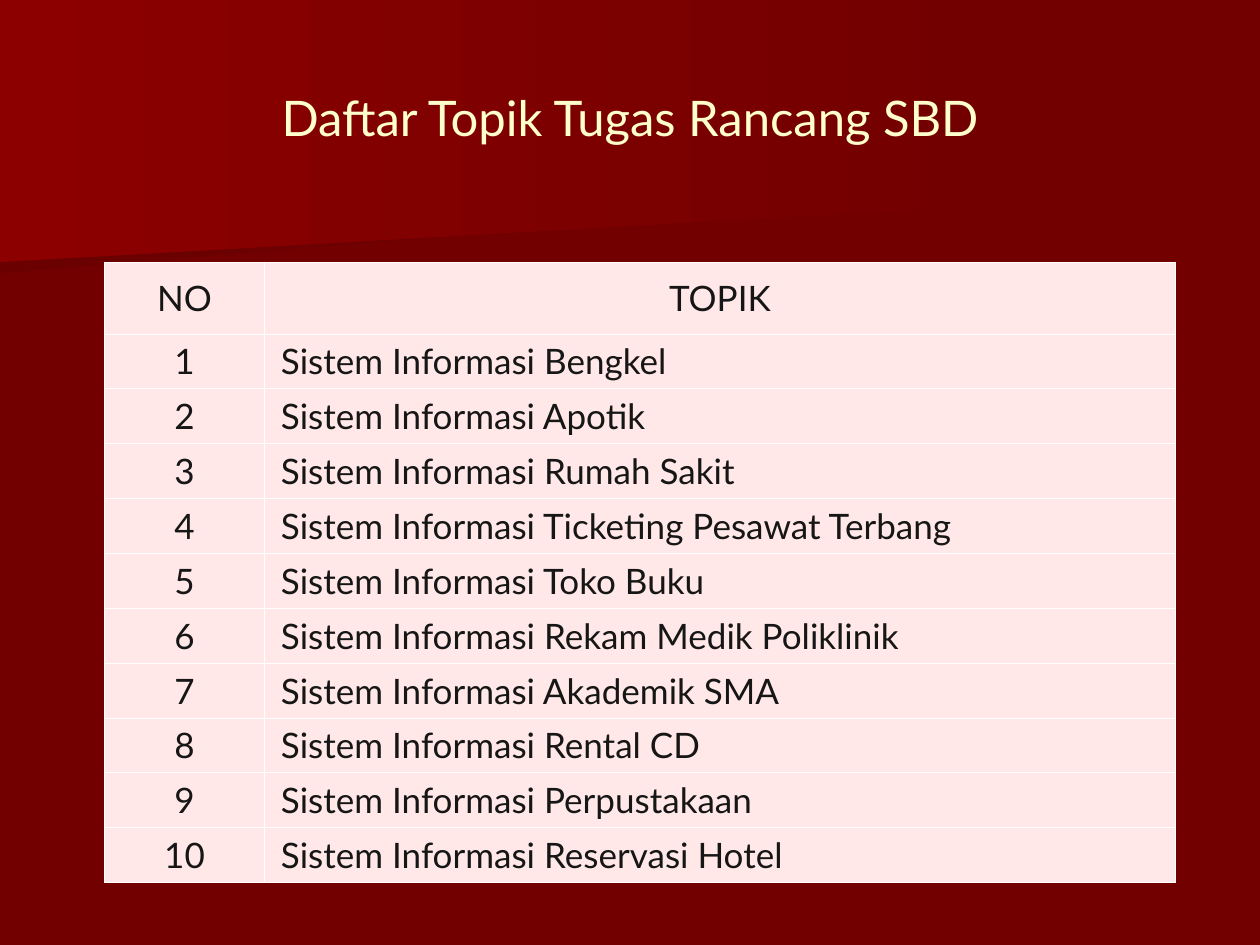
import dataclasses

import lxml.etree
import pptx
import pptx.dml.color
import pptx.enum.text
import pptx.oxml.ns
import pptx.util

Inches = pptx.util.Inches
Pt = pptx.util.Pt
Align = pptx.enum.text.PP_ALIGN
MIDDLE = pptx.enum.text.MSO_ANCHOR.MIDDLE

FONT = "Lato"
DARK_RED = "720000"
TOPICS = [
    "Bengkel",
    "Apotik",
    "Rumah Sakit",
    "Ticketing Pesawat Terbang",
    "Toko Buku",
    "Rekam Medik Poliklinik",
    "Akademik SMA",
    "Rental CD",
    "Perpustakaan",
    "Reservasi Hotel",
]


@dataclasses.dataclass(frozen=True)
class Band:
    """A background shape that fades to the right into the page colour."""

    points: list[tuple[float, float]]
    color: str


@dataclasses.dataclass(frozen=True)
class CellStyle:
    align: Align
    left_margin: float


CENTERED = CellStyle(Align.CENTER, 0.01)
INDENTED = CellStyle(Align.LEFT, 0.13)

BANDS = [
    Band([(0, 1.01), (7.79, 1.01), (7.78, 1.53), (0, 2.17)], "6B0000"),
    Band([(0, 0), (7.92, 0), (7.92, 1.62), (0, 2.08)], "8C0000"),
]


def rgb(color: str) -> pptx.dml.color.RGBColor:
    return pptx.dml.color.RGBColor.from_string(color)


def write(frame, text: str, size: float, color: str, align: Align) -> None:
    para = frame.paragraphs[0]
    para.alignment = align
    span = para.add_run()
    span.text = text
    span.font.name = FONT
    span.font.size = Pt(size)
    span.font.color.rgb = rgb(color)


def draw_band(page, band: Band):
    corners = [(Inches(x), Inches(y)) for x, y in band.points]
    builder = page.shapes.build_freeform(*corners[0])
    builder.add_line_segments(corners[1:], close=True)
    shape = builder.convert_to_shape()
    shape.shadow.inherit = False
    shape.line.fill.background()
    shape.fill.gradient()
    shape.fill.gradient_angle = 0
    for stop, color in zip(shape.fill.gradient_stops, (band.color, DARK_RED)):
        stop.color.rgb = rgb(color)
    return shape


def add_borders(cell, color: str, width: float) -> None:
    """Line all four sides; call before the cell gets its fill."""
    properties = cell._tc.get_or_add_tcPr()
    qn = pptx.oxml.ns.qn
    for side in ("a:lnL", "a:lnR", "a:lnT", "a:lnB"):
        line = lxml.etree.SubElement(properties, qn(side), w=str(Pt(width)))
        fill = lxml.etree.SubElement(line, qn("a:solidFill"))
        lxml.etree.SubElement(fill, qn("a:srgbClr"), val=color)


def fill_cell(cell, text: str, style: CellStyle) -> None:
    add_borders(cell, "FFFFFF", 0.45)
    cell.fill.solid()
    cell.fill.fore_color.rgb = rgb("FFE8E7")
    cell.vertical_anchor = MIDDLE
    cell.margin_left = Inches(style.left_margin)
    cell.margin_right = Inches(0.01)
    cell.margin_top = cell.margin_bottom = Inches(0.05)
    write(cell.text_frame, text, 20, "161616", style.align)


def draw_topic_table(page) -> None:
    rows = [("NO", "TOPIK")]
    rows += [(str(number), f"Sistem Informasi {topic}")
             for number, topic in enumerate(TOPICS, start=1)]
    table = page.shapes.add_table(
        len(rows), 2, Inches(0.83), Inches(2.08), Inches(8.5), Inches(4.67)
    ).table
    table.first_row = table.horz_banding = False
    for column, width in zip(table.columns, (1.27, 7.23)):
        column.width = Inches(width)
    for index, (number, topic) in enumerate(rows):
        is_header = index == 0
        table.rows[index].height = Inches(0.57 if is_header else 0.41)
        fill_cell(table.cell(index, 0), number, CENTERED)
        fill_cell(table.cell(index, 1), topic, CENTERED if is_header else INDENTED)


def main() -> None:
    deck = pptx.Presentation()
    deck.slide_width, deck.slide_height = Inches(10), Inches(7.5)
    page = deck.slides.add_slide(deck.slide_layouts.get_by_name("Title Only"))
    page.background.fill.solid()
    page.background.fill.fore_color.rgb = rgb(DARK_RED)

    title = page.shapes.title
    title.left, title.top = Inches(0.5), Inches(0.3)
    title.width, title.height = Inches(9), Inches(1.25)
    title.text_frame.vertical_anchor = MIDDLE
    write(title.text_frame, "Daftar Topik Tugas Rancang SBD", 28, "FFFFCC", Align.CENTER)

    for band in BANDS:
        title.element.addprevious(draw_band(page, band).element)
    draw_topic_table(page)
    deck.save("out.pptx")


if __name__ == "__main__":
    main()
